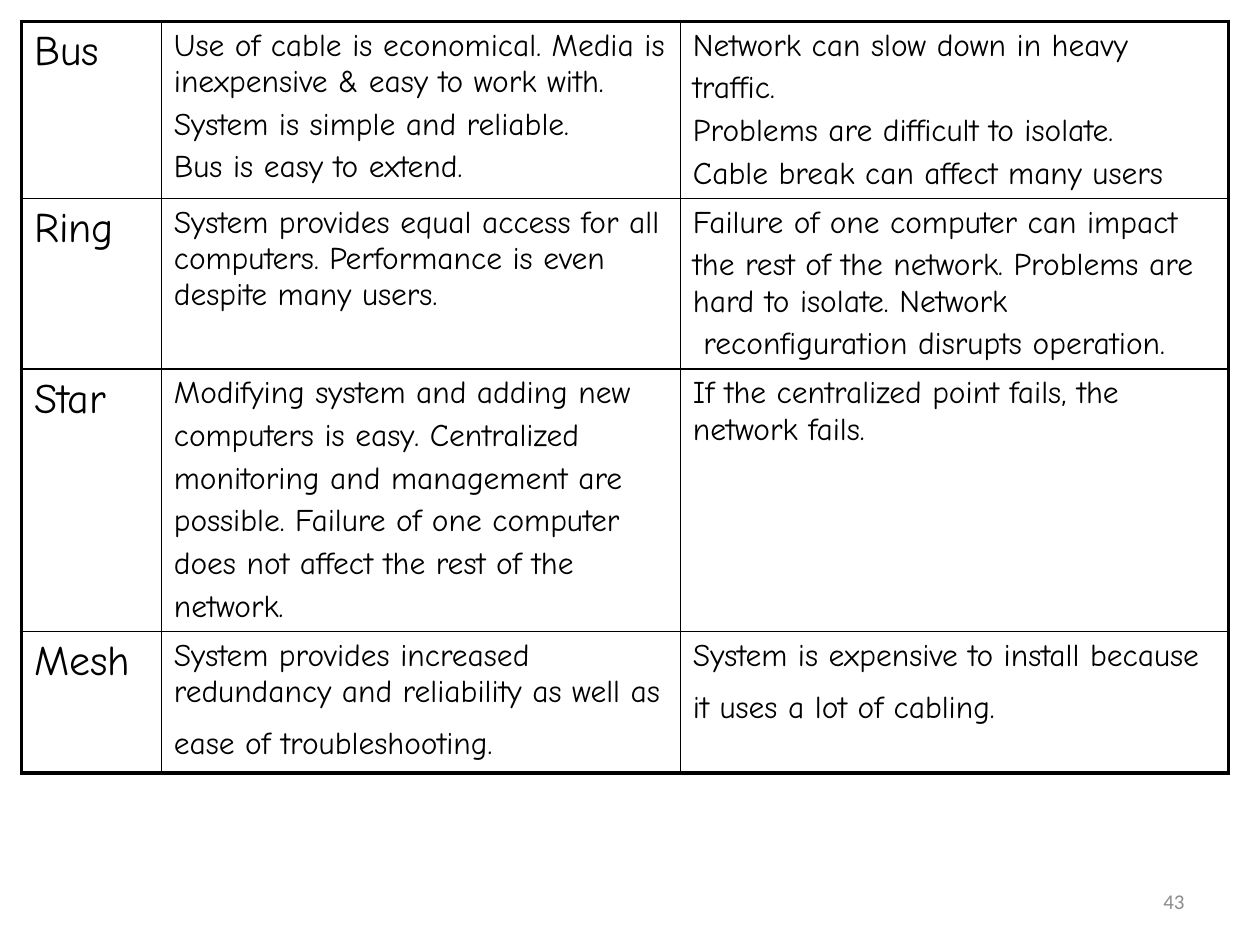
from dataclasses import dataclass

import pptx
import pptx.dml.color
import pptx.enum.text
import pptx.oxml.ns
import pptx.util
from lxml import etree
from pptx.util import Inches


@dataclass(frozen=True)
class Theme:
    ink: str = "000000"
    paper: str = "FFFFFF"
    muted: str = "8C8C8C"
    table_font: str = "Comic Neue"
    number_font: str = "Calibri"
    name_size: int = 24
    body_size: int = 18
    spacer_size: int = 28
    number_size: int = 12
    outer_line: float = 2.25
    inner_line: float = 1
    space_ratio: float = 0.2


THEME = Theme()
COLUMN_WIDTHS = (1.11, 4.12, 4.35)
ROW_HEIGHTS = (1.4, 1.35, 2.08, 1.12)

# Topology name, advantages, disadvantages
TOPOLOGIES = (
    (["Bus"],
     ["Use of cable is economical. Media is inexpensive & easy to work with.",
      "System is simple and reliable.",
      "Bus is easy to extend."],
     ["Network can slow down in heavy",
      "traffic.",
      "Problems are difficult to isolate.",
      "Cable break can affect many users"]),
    (["Ring"],
     ["System provides equal access for all computers. "
      "Performance is even despite many users."],
     ["Failure of one computer can impact",
      "the rest of the network. Problems are hard to isolate. Network",
      " reconfiguration disrupts operation."]),
    (["Star"],
     ["Modifying system and adding new",
      "computers is easy. Centralized",
      "monitoring and management are",
      "possible. Failure of one computer",
      "does not affect the rest of the",
      "network."],
     ["If the centralized point fails, the network fails."]),
    (["Mesh"],
     ["System provides increased redundancy and reliability as well as "
      "ease of troubleshooting."],
     ["System is expensive to install because it uses a lot of cabling."]),
)


def add_run(paragraph, text, font, size, color):
    run = paragraph.add_run()
    run.text = text
    run.font.name = font
    run.font.size = pptx.util.Pt(size)
    run.font.color.rgb = pptx.dml.color.RGBColor.from_string(color)


def set_borders(cell, widths):
    """Draw the cell's edges; widths maps L, R, T and B to points."""
    properties = cell._tc.get_or_add_tcPr()
    qualified = pptx.oxml.ns.qn
    for side in "LRTB":
        line = etree.SubElement(properties, qualified(f"a:ln{side}"),
                                w=str(int(pptx.util.Pt(widths[side]))))
        fill = etree.SubElement(line, qualified("a:solidFill"))
        etree.SubElement(fill, qualified("a:srgbClr"), val=THEME.ink)


def fill_cell(cell, lines, size, has_spacer):
    cell.fill.solid()
    cell.fill.fore_color.rgb = pptx.dml.color.RGBColor.from_string(THEME.paper)
    frame = cell.text_frame
    for index, line in enumerate(lines):
        paragraph = frame.add_paragraph() if index else frame.paragraphs[0]
        paragraph.space_before = pptx.util.Pt(size * THEME.space_ratio)
        add_run(paragraph, line, THEME.table_font, size, THEME.ink)
        if has_spacer:
            # The larger closing space sets the height of the last line
            add_run(paragraph, " ", THEME.table_font, THEME.spacer_size, THEME.ink)


def add_topology_table(slide):
    last_row, last_column = len(ROW_HEIGHTS) - 1, len(COLUMN_WIDTHS) - 1
    table = slide.shapes.add_table(
        len(ROW_HEIGHTS), len(COLUMN_WIDTHS), Inches(0.17), Inches(0.17),
        Inches(sum(COLUMN_WIDTHS)), Inches(sum(ROW_HEIGHTS))).table
    table.first_row = False
    table.horz_banding = False
    for column, width in zip(table.columns, COLUMN_WIDTHS):
        column.width = Inches(width)
    for row, height in zip(table.rows, ROW_HEIGHTS):
        row.height = Inches(height)

    for row_index, topology in enumerate(TOPOLOGIES):
        for column_index, lines in enumerate(topology):
            cell = table.cell(row_index, column_index)
            outer_sides = {"L": column_index == 0, "R": column_index == last_column,
                           "T": row_index == 0, "B": row_index == last_row}
            set_borders(cell, {side: THEME.outer_line if outer else THEME.inner_line
                               for side, outer in outer_sides.items()})
            is_name = column_index == 0
            fill_cell(cell, lines, THEME.name_size if is_name else THEME.body_size,
                      has_spacer=row_index == last_row and not is_name)


def add_slide_number(slide, number):
    box = slide.shapes.add_textbox(Inches(7.17), Inches(6.95), Inches(2.33), Inches(0.4))
    frame = box.text_frame
    frame.word_wrap = True
    frame.vertical_anchor = pptx.enum.text.MSO_ANCHOR.MIDDLE
    paragraph = frame.paragraphs[0]
    paragraph.alignment = pptx.enum.text.PP_ALIGN.RIGHT
    add_run(paragraph, number, THEME.number_font, THEME.number_size, THEME.muted)


def main():
    presentation = pptx.Presentation()
    presentation.slide_width = Inches(10)
    presentation.slide_height = Inches(7.5)
    # Blank layout, as this slide has no title
    slide = presentation.slides.add_slide(presentation.slide_layouts[6])
    add_topology_table(slide)
    add_slide_number(slide, "43")
    presentation.save("out.pptx")


if __name__ == "__main__":
    main()
